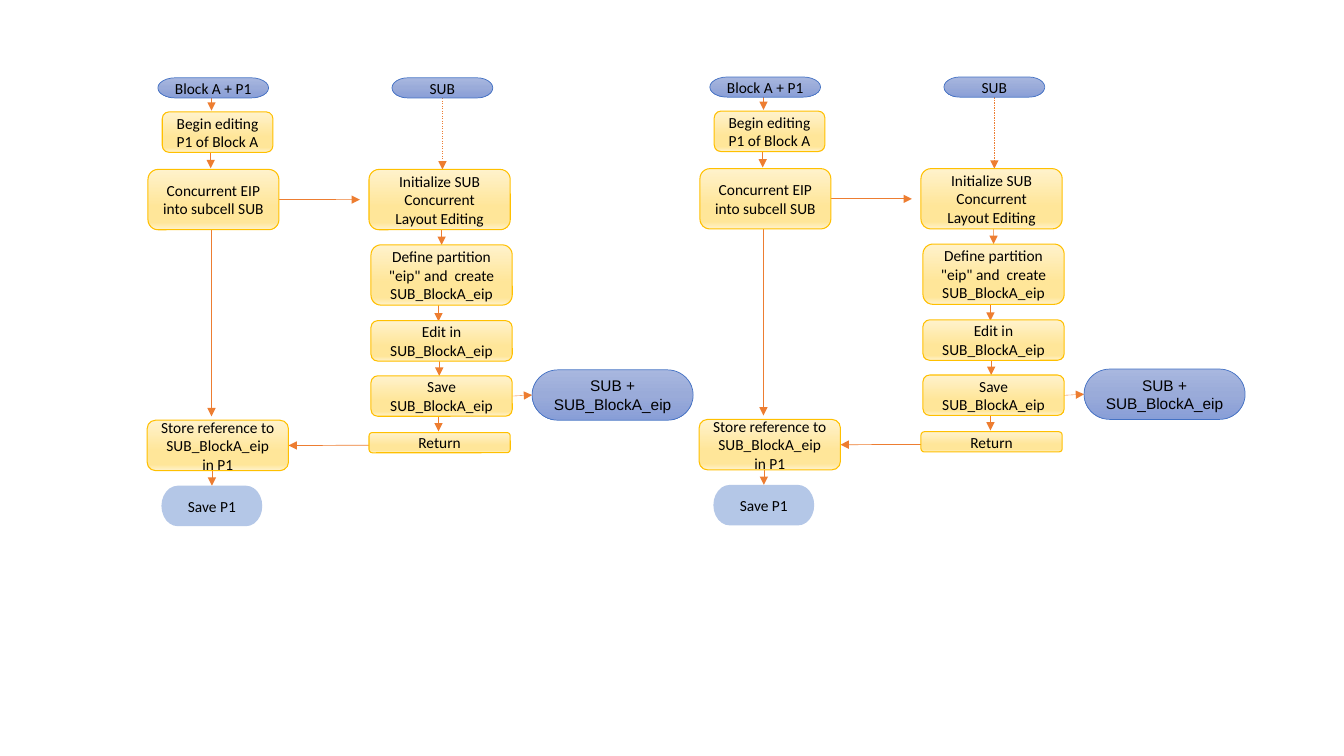
from dataclasses import dataclass

import lxml.etree
import pptx
import pptx.dml.color
import pptx.enum.dml
import pptx.enum.shapes
import pptx.enum.text
import pptx.oxml.ns
import pptx.shapes.autoshape
import pptx.slide
import pptx.util

RGBColor = pptx.dml.color.RGBColor
Cm = pptx.util.Cm
Pt = pptx.util.Pt
qn = pptx.oxml.ns.qn
Shape = pptx.enum.shapes.MSO_SHAPE

BLACK = RGBColor(0x00, 0x00, 0x00)
ORANGE = RGBColor(0xED, 0x7D, 0x31)
GOLD = RGBColor(0xFF, 0xC0, 0x00)
CREAM = RGBColor(0xFF, 0xF2, 0xCC)
YELLOW = RGBColor(0xFF, 0xE6, 0x99)
BLUE = RGBColor(0x44, 0x72, 0xC4)
BLUE_TOP = RGBColor(0xA8, 0xB7, 0xDF)
BLUE_MIDDLE = RGBColor(0x9A, 0xAB, 0xD9)
BLUE_BOTTOM = RGBColor(0x88, 0x9E, 0xD7)
PALE_BLUE = RGBColor(0xB4, 0xC7, 0xE7)

TOP, LEFT, BOTTOM, RIGHT = range(4)


@dataclass(frozen=True)
class Style:
    preset: Shape
    stops: tuple[tuple[int, RGBColor], ...]
    outline: RGBColor | None = None
    outline_width: float = 0


@dataclass(frozen=True)
class Step:
    text: str
    left: float
    top: float
    width: float
    height: float
    style: Style
    font: str = "Calibri"


@dataclass(frozen=True)
class Point:
    x: float
    y: float


@dataclass(frozen=True)
class Side:
    step: str
    site: int


@dataclass(frozen=True)
class Arrow:
    start: Point | Side
    end: Point | Side
    width: float = 0.25
    dashed: bool = False


PROCESS = Style(Shape.ROUNDED_RECTANGLE,
                ((0, CREAM), (62, YELLOW), (88, YELLOW), (100, CREAM)), GOLD, 0.75)
CELL = Style(Shape.FLOWCHART_TERMINATOR,
             ((0, BLUE_TOP), (50, BLUE_MIDDLE), (100, BLUE_BOTTOM)), BLUE, 0.5)
FINISH = Style(Shape.FLOWCHART_TERMINATOR, ((0, PALE_BLUE),))

STEPS = {
    "block": Step("Block A + P1", 3.98, 1.96, 2.79, 0.51, CELL),
    "begin": Step("Begin editing P1 of Block A", 4.09, 2.82, 2.79, 1.02, PROCESS),
    "concurrent": Step("Concurrent EIP\ninto subcell SUB", 3.73, 4.27, 3.3, 1.52, PROCESS),
    "store": Step("Store reference to SUB_BlockA_eip in P1", 3.71, 10.59, 3.56, 1.27, PROCESS),
    "finish": Step("Save P1", 4.07, 12.24, 2.54, 1.02, FINISH),
    "sub": Step("SUB", 9.88, 1.96, 2.54, 0.51, CELL),
    "initialize": Step("Initialize SUB Concurrent Layout Editing", 9.3, 4.27, 3.56, 1.52, PROCESS),
    "define": Step('Define partition "eip" and  create SUB_BlockA_eip',
                   9.35, 6.17, 3.56, 1.52, PROCESS),
    "edit": Step("Edit in SUB_BlockA_eip", 9.35, 8.08, 3.56, 1.02, PROCESS),
    "save": Step("Save SUB_BlockA_eip", 9.35, 9.47, 3.56, 1.02, PROCESS),
    "return": Step("Return", 9.3, 10.9, 3.56, 0.51, PROCESS),
    "result": Step("SUB + SUB_BlockA_eip", 13.41, 9.32, 4.06, 1.27, CELL, "Arial"),
}

ARROWS = [
    Arrow(Point(5.33, 2.03), Point(5.33, 2.79)),
    Arrow(Point(5.31, 3.86), Point(5.31, 4.24)),
    Arrow(Point(5.33, 5.66), Point(5.33, 10.49)),
    Arrow(Point(5.34, 11.23), Side("finish", TOP)),
    Arrow(Side("sub", BOTTOM), Point(11.15, 4.27), dashed=True),
    Arrow(Side("concurrent", RIGHT), Point(9.07, 5.03), 0.5),
    Arrow(Point(11.13, 5.66), Side("define", TOP)),
    Arrow(Point(11.05, 7.59), Point(11.05, 8.1)),
    Arrow(Point(11.07, 8.97), Point(11.07, 9.47)),
    Arrow(Point(11.05, 10.36), Point(11.05, 10.87)),
    Arrow(Side("save", RIGHT), Side("result", LEFT)),
    Arrow(Point(9.3, 11.22), Side("store", RIGHT), 0.5),
]

FLOW_ORIGINS = [Point(0, 0), Point(13.91, -0.02)]


def fill_shape(shape: pptx.shapes.autoshape.Shape, style: Style) -> None:
    """Fill with one colour, or with a gradient running from top to bottom."""
    if len(style.stops) == 1:
        shape.fill.solid()
        shape.fill.fore_color.rgb = style.stops[0][1]
        return
    shape.fill.gradient()
    shape.fill.gradient_angle = 270
    stop_list = shape.element.spPr.find(".//" + qn("a:gsLst"))
    for default_stop in list(stop_list):
        stop_list.remove(default_stop)
    for percent, color in style.stops:
        stop = lxml.etree.SubElement(stop_list, qn("a:gs"), pos=str(percent * 1000))
        lxml.etree.SubElement(stop, qn("a:srgbClr"), val=str(color))


def draw_step(slide: pptx.slide.Slide, step: Step, origin: Point) -> pptx.shapes.autoshape.Shape:
    shape = slide.shapes.add_shape(
        step.style.preset, Cm(origin.x + step.left), Cm(origin.y + step.top),
        Cm(step.width), Cm(step.height))
    shape.shadow.inherit = False
    fill_shape(shape, step.style)
    if step.style.outline is None:
        shape.line.fill.background()
    else:
        shape.line.color.rgb = step.style.outline
        shape.line.width = Pt(step.style.outline_width)
    frame = shape.text_frame
    frame.word_wrap = True
    frame.vertical_anchor = pptx.enum.text.MSO_ANCHOR.MIDDLE
    frame.text = step.text
    for paragraph in frame.paragraphs:
        paragraph.alignment = pptx.enum.text.PP_ALIGN.CENTER
        paragraph.font.name = step.font
        paragraph.font.size = Pt(11)
        paragraph.font.color.rgb = BLACK
    return shape


def draw_arrow(slide: pptx.slide.Slide, arrow: Arrow, origin: Point,
               shapes: dict[str, pptx.shapes.autoshape.Shape]) -> None:
    """Draw an arrow behind the steps, joined to them where it names a side."""
    connector = slide.shapes.add_connector(pptx.enum.shapes.MSO_CONNECTOR.STRAIGHT, 0, 0, 0, 0)
    if isinstance(arrow.start, Side):
        connector.begin_connect(shapes[arrow.start.step], arrow.start.site)
    else:
        connector.begin_x = Cm(origin.x + arrow.start.x)
        connector.begin_y = Cm(origin.y + arrow.start.y)
    if isinstance(arrow.end, Side):
        connector.end_connect(shapes[arrow.end.step], arrow.end.site)
    else:
        connector.end_x = Cm(origin.x + arrow.end.x)
        connector.end_y = Cm(origin.y + arrow.end.y)
    connector.line.color.rgb = ORANGE
    connector.line.width = Pt(arrow.width)
    if arrow.dashed:
        connector.line.dash_style = pptx.enum.dml.MSO_LINE.DASH
    properties = connector.element.spPr
    lxml.etree.SubElement(properties.find(qn("a:ln")), qn("a:tailEnd"), type="triangle")
    lxml.etree.SubElement(properties, qn("a:effectLst"))
    connector.element.getparent().insert(2, connector.element)


def main() -> None:
    presentation = pptx.Presentation()
    presentation.slide_width = Cm(33.87)
    presentation.slide_height = Cm(19.05)
    slide = presentation.slides.add_slide(presentation.slide_layouts[6])
    for origin in FLOW_ORIGINS:
        shapes = {name: draw_step(slide, step, origin) for name, step in STEPS.items()}
        for arrow in ARROWS:
            draw_arrow(slide, arrow, origin, shapes)
    presentation.save("out.pptx")


if __name__ == "__main__":
    main()
